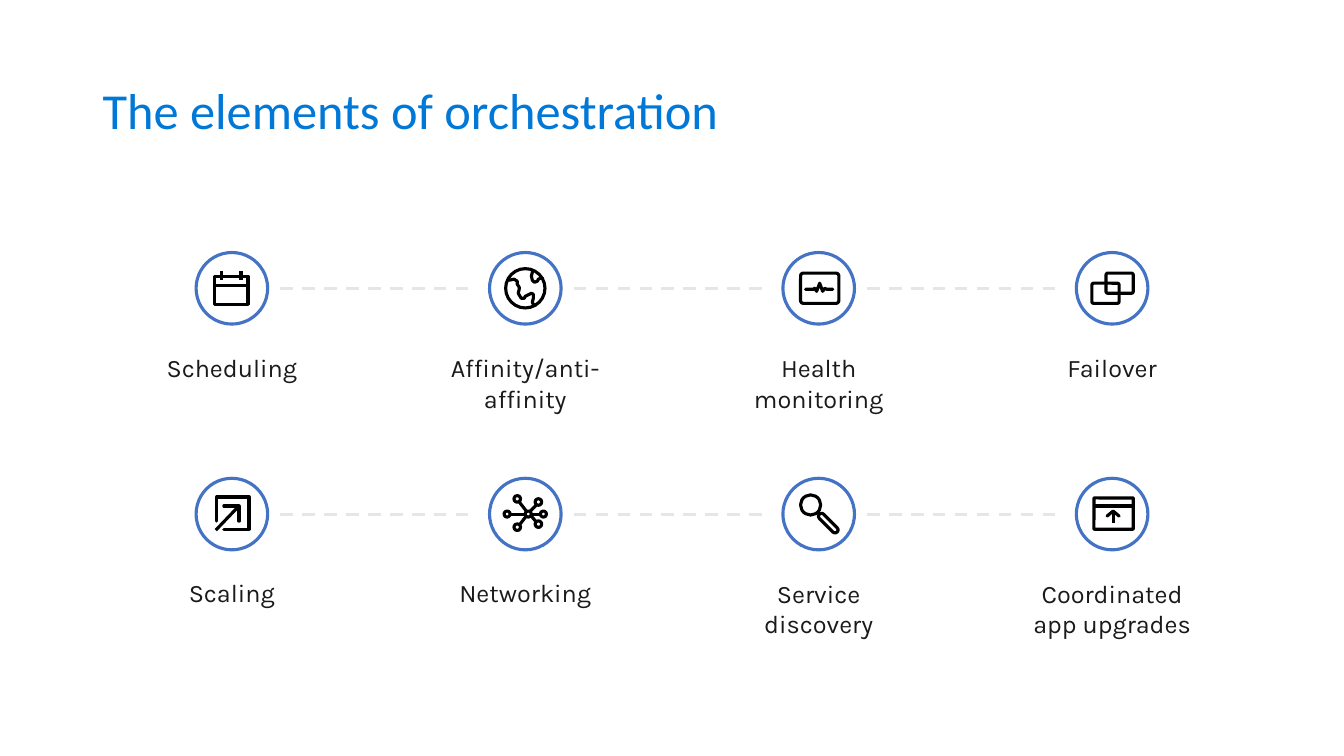
import pptx
import pptx.dml.color
import pptx.enum.dml
import pptx.enum.shapes
import pptx.enum.text
import pptx.oxml.ns
import pptx.util
from lxml import etree

RGBColor = pptx.dml.color.RGBColor
SHAPES = pptx.enum.shapes.MSO_SHAPE
Inches = pptx.util.Inches
TITLE_BLUE = RGBColor(0x00, 0x78, 0xD7)
RING_BLUE = RGBColor(0x44, 0x72, 0xC4)
DASH_GREY = RGBColor(0xE7, 0xE6, 0xE6)
TEXT_DARK = RGBColor(0x1A, 0x1A, 0x1A)
BLACK = RGBColor(0, 0, 0)
WHITE = RGBColor(0xFF, 0xFF, 0xFF)

FIRST_X, COLUMN = 2.3, 2.91
FIRST_Y, ROW = 2.86, 2.24
RING = 0.71
UNIT = 0.01


def style_line(item, colour, rounded=False):
    """Give a shape or connector its line."""
    item.line.color.rgb = colour
    item.line.width = pptx.util.Pt(2.25)
    if rounded:
        outline = item.line._get_or_add_ln()
        outline.set("cap", "rnd")
        etree.SubElement(outline, pptx.oxml.ns.qn("a:round"))


def add_text(page, words, left, top, width, height, font, size, colour):
    """Add a wrapping text box with one paragraph."""
    box = page.shapes.add_textbox(*map(Inches, (left, top, width, height)))
    box.text_frame.word_wrap = True
    para = box.text_frame.paragraphs[0]
    para.text = words
    para.font.name = font
    para.font.size = pptx.util.Pt(size)
    para.font.color.rgb = colour
    return box.text_frame, para


def add_title(page, words):
    """Add the slide title."""
    frame, para = add_text(page, words, 0.92, 0.4, 11.5, 1.45, "Calibri", 36, TITLE_BLUE)
    frame.vertical_anchor = pptx.enum.text.MSO_ANCHOR.MIDDLE
    para.line_spacing = 0.9


def add_label(page, centre, words, width, height):
    """Add the caption below a ring."""
    x, y = centre
    frame, para = add_text(page, words, x - width / 2, y + 0.48, width, height,
                           "Karla", 18, TEXT_DARK)
    frame.margin_left = frame.margin_right = Inches(0.16)
    frame.margin_top = frame.margin_bottom = Inches(0.16)
    frame.auto_size = pptx.enum.text.MSO_AUTO_SIZE.SHAPE_TO_FIT_TEXT
    para.alignment = pptx.enum.text.PP_ALIGN.CENTER
    para.space_after = pptx.util.Pt(23.5)


def add_segment(page, start, end, colour):
    """Add a straight line without a shadow."""
    line = page.shapes.add_connector(pptx.enum.shapes.MSO_CONNECTOR.STRAIGHT,
                                     *map(Inches, (*start, *end)))
    style_line(line, colour)
    etree.SubElement(line._element.spPr, pptx.oxml.ns.qn("a:effectLst"))
    return line


def add_link(page, centre):
    """Add the dashed line towards the next ring."""
    x, y = centre
    link = add_segment(page, (x + 0.48, y), (x + 2.43, y), DASH_GREY)
    link.line.dash_style = pptx.enum.dml.MSO_LINE.DASH


def add_ring(page, centre):
    """Add the white disc with a blue edge."""
    corner = [value - RING / 2 for value in centre]
    ring = page.shapes.add_shape(SHAPES.OVAL, *map(Inches, (*corner, RING, RING)))
    ring.shadow.inherit = False
    ring.fill.solid()
    ring.fill.fore_color.rgb = WHITE
    style_line(ring, RING_BLUE)


def place(centre, point):
    """Turn an icon point into a position on the slide."""
    return tuple(base + UNIT * offset for base, offset in zip(centre, point))


def panel(page, centre, left, top, width, height, corner=0.0, turn=0):
    """Draw an outlined rectangle of an icon."""
    kind = SHAPES.ROUNDED_RECTANGLE if corner else SHAPES.RECTANGLE
    sizes = (*place(centre, (left, top)), width * UNIT, height * UNIT)
    shape = page.shapes.add_shape(kind, *map(Inches, sizes))
    if corner:
        shape.adjustments[0] = corner
    shape.rotation = turn
    shape.shadow.inherit = False
    shape.fill.background()
    style_line(shape, BLACK, bool(corner))


def circle(page, centre, x, y, size):
    """Draw an outlined circle of an icon around a point."""
    corner = place(centre, (x - size / 2, y - size / 2))
    shape = page.shapes.add_shape(SHAPES.OVAL, *map(Inches, (*corner, size * UNIT, size * UNIT)))
    shape.shadow.inherit = False
    shape.fill.background()
    style_line(shape, BLACK)


def stroke(page, centre, *points):
    """Draw a line or an open outline of an icon."""
    spots = [place(centre, point) for point in points]
    if len(spots) == 2:
        add_segment(page, *spots, BLACK)
        return
    spots = [tuple(map(Inches, spot)) for spot in spots]
    builder = page.shapes.build_freeform(*spots[0])
    builder.add_line_segments(spots[1:], close=False)
    shape = builder.convert_to_shape()
    shape.shadow.inherit = False
    shape.fill.background()
    style_line(shape, BLACK, True)


def calendar(page, centre):
    """Draw the calendar."""
    panel(page, centre, -17, -12, 33, 28)
    for x in (-10, 9):
        stroke(page, centre, (x, -17), (x, -8))
    stroke(page, centre, (-17, -3), (16, -3))


def globe(page, centre):
    """Draw the globe."""
    circle(page, centre, 0, 0, 39)
    stroke(page, centre, (10, 17), (8, 16), (7, 14), (8, 10), (8, 6), (6, 5), (4, 6), (0, 8),
           (-1, 10), (-4, 10), (-7, 5), (-6, 1), (-6, -1), (-8, -4), (-8, -7), (-11, -9),
           (-16, -8), (-17, -9))
    stroke(page, centre, (17, -10), (15, -10), (13, -9), (12, -7), (9, -6), (7, -8),
           (6, -12), (7, -16), (7, -18))


def monitor(page, centre):
    """Draw the screen with a pulse."""
    panel(page, centre, -18, -15, 38, 30, 0.09)
    stroke(page, centre, (-13, 1), (-5, 1), (-4, 0), (-2, 3), (1, -5), (4, 3), (6, 0),
           (8, 1), (14, 1))


def windows(page, centre):
    """Draw two overlapping windows."""
    for left, top in ((-6, -15), (-20, -5)):
        panel(page, centre, left, top, 27, 20, 0.09)


def scale_arrow(page, centre):
    """Draw the arrow growing out of a box."""
    stroke(page, centre, (7, 7), (7, -8), (-8, -8))
    stroke(page, centre, (-8, 15), (17, 15), (17, -17), (-15, -17), (-15, 7))
    stroke(page, centre, (7, -8), (-16, 16))


def network(page, centre):
    """Draw the hub with six nodes."""
    for x in (-18, 3, 18):
        circle(page, centre, x, 0, 6)
    for x, y in ((13, 10), (-8, 13), (13, -12), (-8, -15)):
        circle(page, centre, x, y, 6.5)
    for start, end in (((15, 0), (6, 0)), ((0, 0), (-15, 0)), ((-6, 11), (1, 2)),
                       ((6, 2), (11, 8)), ((-6, -12), (1, -3)), ((5, -3), (11, -9))):
        stroke(page, centre, start, end)


def magnifier(page, centre):
    """Draw the magnifying glass."""
    circle(page, centre, -8, -9, 20)
    panel(page, centre, -3, 6, 25, 6, 0.5, 45)
    stroke(page, centre, (-1, -2), (1, 0))


def upgrade(page, centre):
    """Draw the window with an upward arrow."""
    panel(page, centre, -18, -16, 39, 31, 0.02)
    stroke(page, centre, (-18, -8), (21, -8))
    stroke(page, centre, (1, 9), (1, -3))
    stroke(page, centre, (-5, 2), (1, -3), (7, 2))


ELEMENTS = (
    (("Scheduling", 1.77, 0.61, calendar), ("Affinity/anti-affinity", 2.2, 0.92, globe),
     ("Health monitoring", 1.77, 0.92, monitor), ("Failover", 1.77, 0.61, windows)),
    (("Scaling", 1.77, 0.61, scale_arrow), ("Networking", 2.2, 0.61, network),
     ("Service discovery", 1.77, 0.92, magnifier),
     ("Coordinated app upgrades", 1.98, 0.92, upgrade)),
)


def main():
    """Build the slide and save it."""
    deck = pptx.Presentation()
    deck.slide_width, deck.slide_height = Inches(13.33), Inches(7.5)
    page = deck.slides.add_slide(deck.slide_layouts[6])
    add_title(page, "The elements of orchestration")
    for row, elements in enumerate(ELEMENTS):
        for column, (words, width, height, draw_icon) in enumerate(elements):
            centre = (FIRST_X + column * COLUMN, FIRST_Y + row * ROW)
            add_label(page, centre, words, width, height)
            if column < len(elements) - 1:
                add_link(page, centre)
            add_ring(page, centre)
            draw_icon(page, centre)
    deck.save("out.pptx")


if __name__ == "__main__":
    main()
